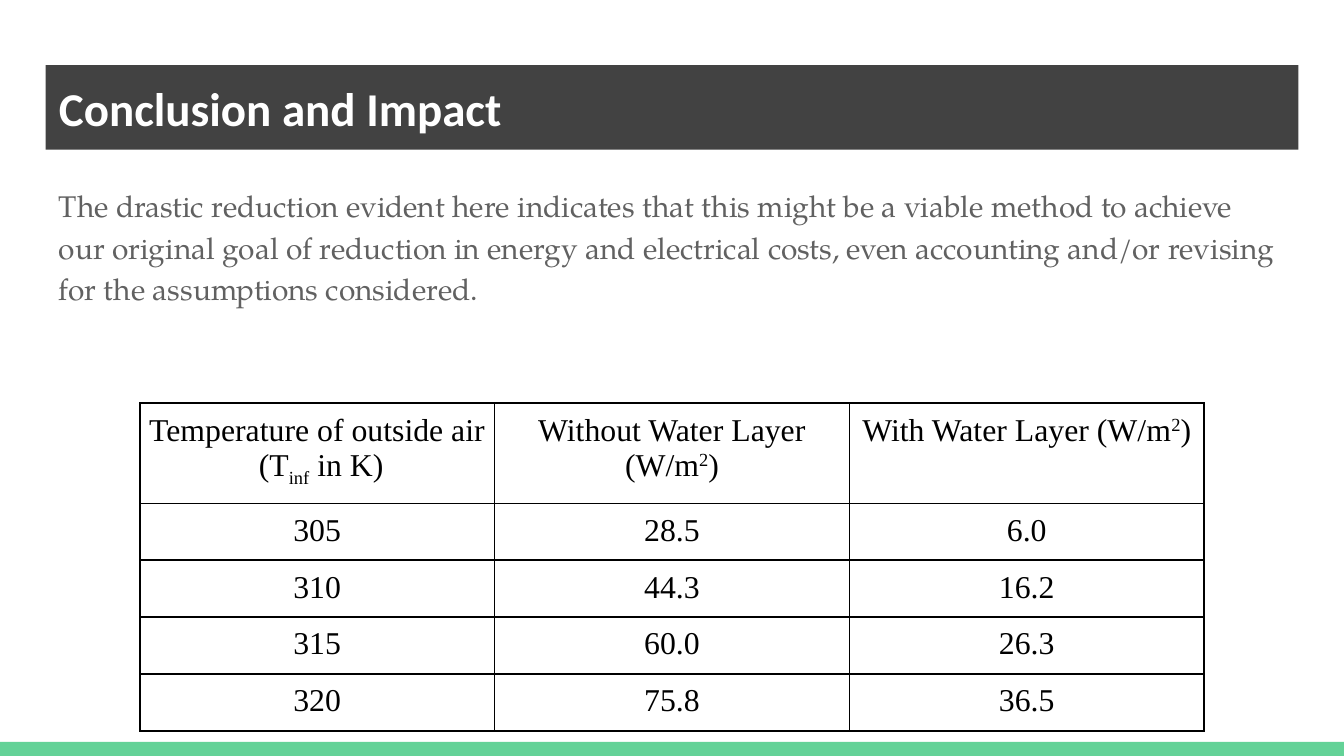
from dataclasses import dataclass

from lxml import etree
from pptx import Presentation
from pptx import util as u
from pptx.dml.color import RGBColor
from pptx.enum import shapes, text
from pptx.oxml.ns import qn


@dataclass(frozen=True)
class Theme:
    """Colours, fonts and type sizes of the slide."""
    accent: str = "63D297"
    band: str = "424242"
    title: str = "FFFFFF"
    body: str = "616161"
    ink: str = "000000"
    title_font: str = "Calibri"
    body_font: str = "TeX Gyre Pagella"
    table_font: str = "Times New Roman"
    title_size: float = 25.2
    body_size: float = 16
    table_size: float = 17


THEME = Theme()
SCALE = 4572
WIDTH, HEIGHT = 2000, 1125
SUBSCRIPT, SUPERSCRIPT = -25, 30

HEADERS = [
    [[("Temperature of outside air", 0)],
     [(" (T", 0), ("inf", SUBSCRIPT), (" in K)", 0)]],
    [[("Without Water Layer (W/m", 0), ("2", SUPERSCRIPT), (")", 0)]],
    [[("With Water Layer (W/m", 0), ("2", SUPERSCRIPT), (")", 0)]],
]
READINGS = [
    ("305", "28.5", "6.0"),
    ("310", "44.3", "16.2"),
    ("315", "60.0", "26.3"),
    ("320", "75.8", "36.5"),
]


def px(length):
    """Turn px into EMU."""
    return u.Emu(length * SCALE)


def add_run(paragraph, words, font, size, color, bold=False, baseline=0):
    """Append one styled run to a paragraph."""
    run = paragraph.add_run()
    run.text = words
    run.font.name = font
    run.font.size = u.Pt(size)
    run.font.bold = bold
    run.font.color.rgb = RGBColor.from_string(color)
    if baseline:
        run.font._element.set("baseline", str(baseline * 1000))


def set_margins(holder, margin):
    """Give a text frame or cell the same inset on all sides."""
    holder.margin_left = holder.margin_right = px(margin)
    holder.margin_top = holder.margin_bottom = px(margin)


def add_band(slide, box, color):
    """Add a plain filled rectangle."""
    shape = slide.shapes.add_shape(
        shapes.MSO_SHAPE.RECTANGLE, *map(px, box))
    shape.shadow.inherit = False
    shape.fill.solid()
    shape.fill.fore_color.rgb = RGBColor.from_string(color)
    shape.line.fill.background()
    return shape


def add_title(slide, box, words):
    """Add the title on its dark band."""
    frame = add_band(slide, box, THEME.band).text_frame
    frame.word_wrap = True
    frame.vertical_anchor = text.MSO_ANCHOR.MIDDLE
    set_margins(frame, 20)
    paragraph = frame.paragraphs[0]
    paragraph.alignment = text.PP_ALIGN.LEFT
    add_run(paragraph, words, THEME.title_font, THEME.title_size,
            THEME.title, bold=True)


def add_body(slide, box, words):
    """Add the concluding paragraph."""
    frame = slide.shapes.add_textbox(*map(px, box)).text_frame
    frame.word_wrap = True
    set_margins(frame, 20)
    paragraph = frame.paragraphs[0]
    paragraph.line_spacing = 1.15
    paragraph.space_after = u.Pt(12)
    add_run(paragraph, words, THEME.body_font, THEME.body_size, THEME.body)


def add_borders(cell):
    """Rule all four sides of a cell."""
    properties = cell._tc.get_or_add_tcPr()
    for index, side in enumerate(("a:lnL", "a:lnR", "a:lnT", "a:lnB")):
        line = etree.Element(qn(side), w=str(u.Pt(1)))
        fill = etree.SubElement(line, qn("a:solidFill"))
        etree.SubElement(fill, qn("a:srgbClr"), val=THEME.ink)
        properties.insert(index, line)


def fill_cell(cell, lines):
    """Write centred lines of (words, baseline) runs into a ruled cell."""
    cell.fill.background()
    add_borders(cell)
    set_margins(cell, 14)
    frame = cell.text_frame
    for index, runs in enumerate(lines):
        paragraph = frame.add_paragraph() if index else frame.paragraphs[0]
        paragraph.alignment = text.PP_ALIGN.CENTER
        for words, baseline in runs:
            add_run(paragraph, words, THEME.table_font, THEME.table_size,
                    THEME.ink, baseline=baseline)


def add_readings(slide, box):
    """Add the heat flux table with equal columns and rows."""
    rows = [HEADERS] + [[[[(value, 0)]] for value in row] for row in READINGS]
    left, top, width, height = box
    table = slide.shapes.add_table(
        len(rows), len(HEADERS), *map(px, box)).table
    table.first_row = table.horz_banding = False
    for column in table.columns:
        column.width = px(width // len(HEADERS))
    for index, row in enumerate(rows):
        table.rows[index].height = px(height // len(rows))
        for position, lines in enumerate(row):
            fill_cell(table.cell(index, position), lines)


def build_conclusion(presentation):
    """Add the conclusion slide."""
    slide = presentation.slides.add_slide(presentation.slide_layouts[6])
    add_band(slide, (0, HEIGHT - 21, WIDTH, 21), THEME.accent)
    add_title(slide, (68, 97, 1864, 126), "Conclusion and Impact")
    add_body(slide, (68, 252, 1864, 310),
             "The drastic reduction evident here indicates that this might be "
             "a viable method to achieve our original goal of reduction in "
             "energy and electrical costs, even accounting and/or revising "
             "for the assumptions considered.")
    add_readings(slide, (208, 600, 1584, 415))


def main():
    """Build and save the presentation."""
    presentation = Presentation()
    presentation.slide_width = px(WIDTH)
    presentation.slide_height = px(HEIGHT)
    build_conclusion(presentation)
    presentation.save("out.pptx")


if __name__ == "__main__":
    main()
